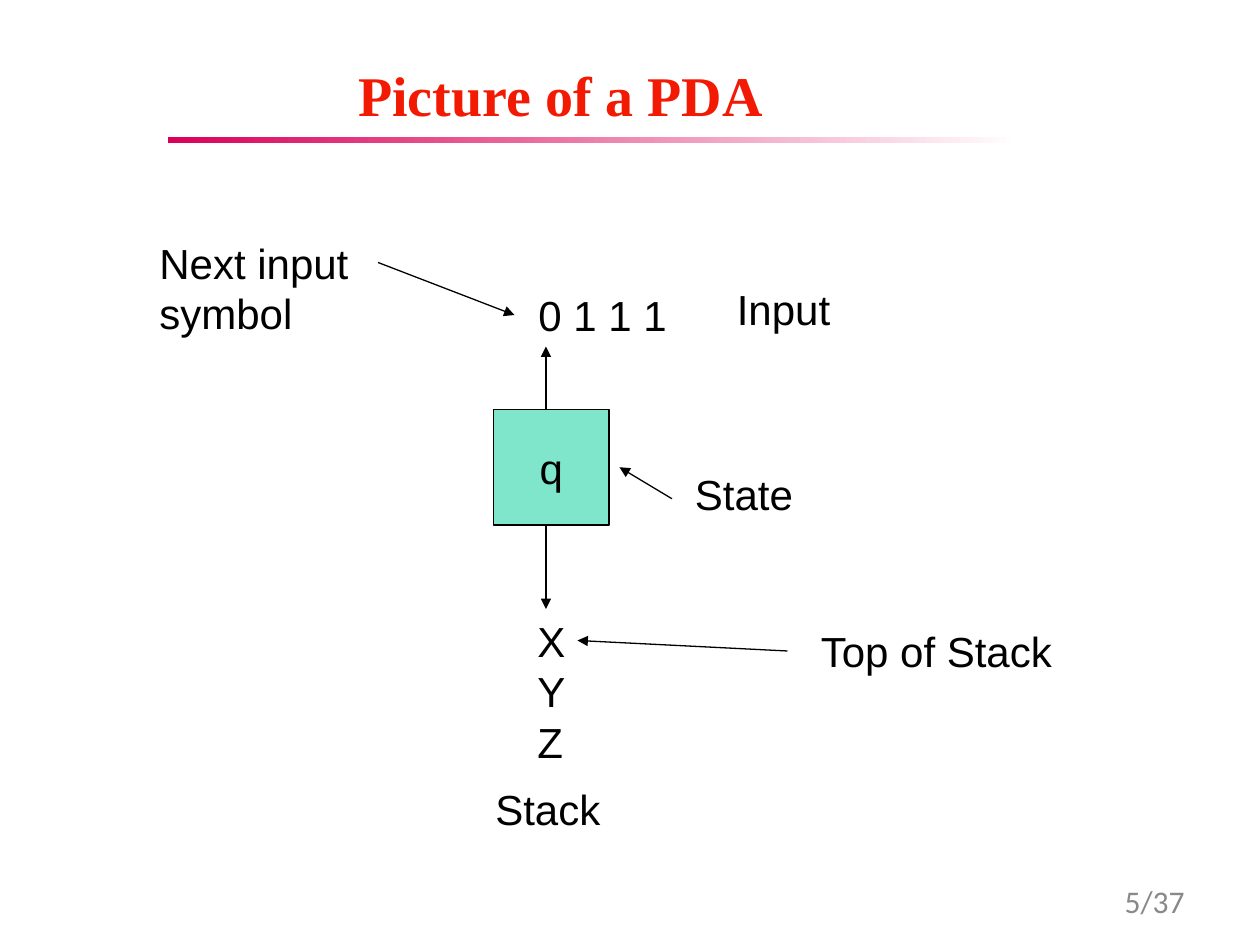
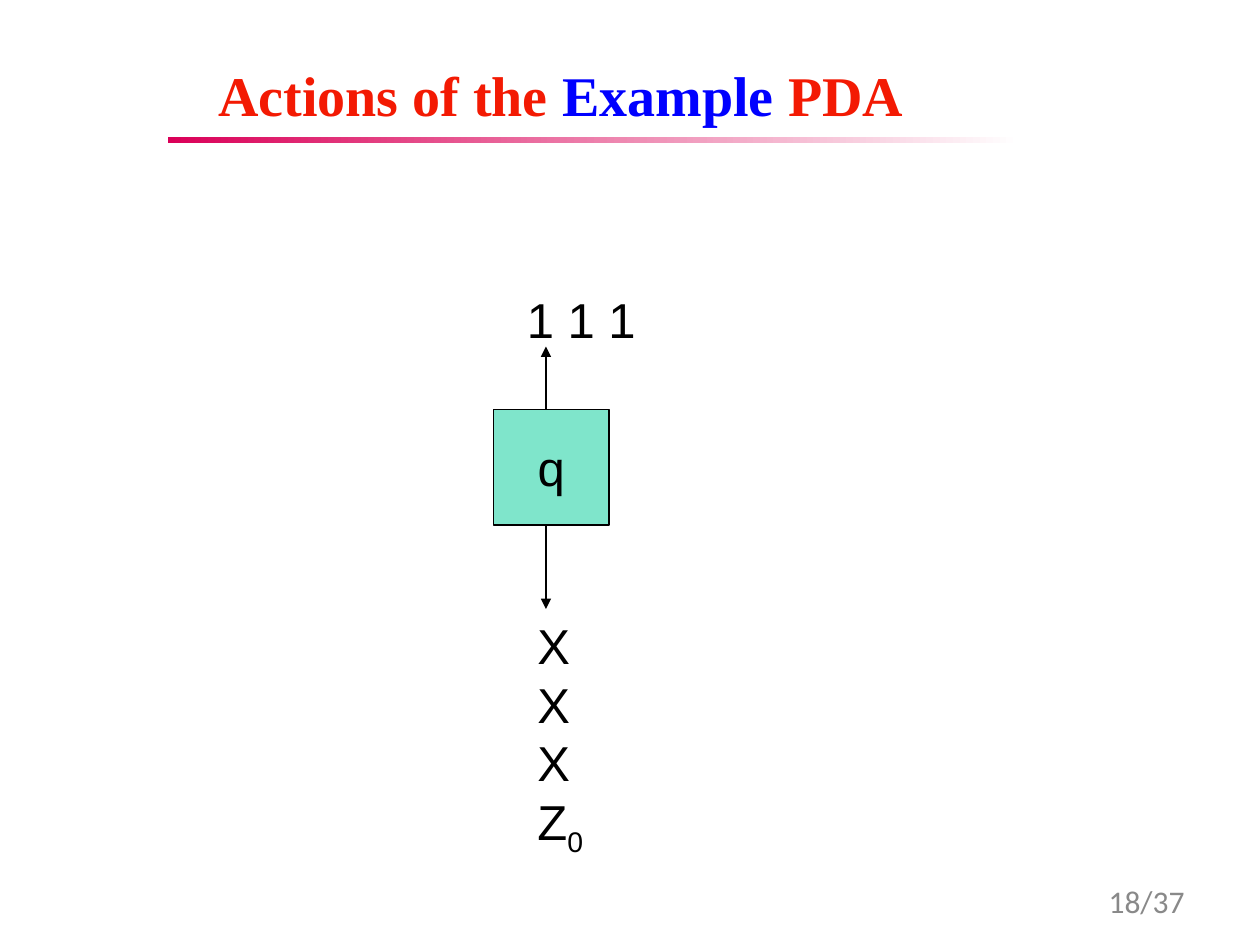
from collections import namedtuple

from lxml import etree
from pptx import Presentation
from pptx.dml.color import RGBColor
from pptx.enum.shapes import MSO_CONNECTOR, MSO_SHAPE
from pptx.enum.text import MSO_ANCHOR, PP_ALIGN
from pptx.oxml.ns import qn
from pptx.util import Inches, Pt

RECTANGLE = MSO_SHAPE.RECTANGLE
STRAIGHT = MSO_CONNECTOR.STRAIGHT
LEFT, CENTER, RIGHT = PP_ALIGN.LEFT, PP_ALIGN.CENTER, PP_ALIGN.RIGHT
TOP, MIDDLE = MSO_ANCHOR.TOP, MSO_ANCHOR.MIDDLE

WIDTH, HEIGHT = Inches(10), Inches(7.5)
COLUMNS, ROWS = 120, 90
LINE_WIDTH = Pt(0.75)
PAGE_TOTAL = 37

COLORS = {
    "title": "F31A03",
    "accent": "0000FF",
    "rule": "DA0058",
    "paper": "FFFFFF",
    "state": "00CC99",
    "ink": "000000",
    "footer": "898989",
}

# Lengths are in grid columns and rows
Box = namedtuple("Box", "col row cols rows")
Style = namedtuple("Style", "font size color bold", defaults=(False,))

TITLE = Style("Times New Roman", 32, "title", True)
FOOTER = Style("Calibri", 18, "footer")
DIAGRAM = Box(14, 22, 88, 60)


def x(cols):
    return round(WIDTH * cols / COLUMNS)


def y(rows):
    return round(HEIGHT * rows / ROWS)


def frame(box):
    return x(box.col), y(box.row), x(box.cols), y(box.rows)


def inside(area, col, row, cols=0, rows=0):
    return Box(area.col + col, area.row + row, cols, rows)


def rgb(name):
    return RGBColor.from_string(COLORS[name])


def write(text_frame, lines, style, align=LEFT, anchor=TOP, wrap=False):
    """Each line is a list of (text, changes); changes are color or baseline."""
    text_frame.word_wrap = wrap
    text_frame.vertical_anchor = anchor
    for number, line in enumerate(lines):
        para = text_frame.add_paragraph() if number else text_frame.paragraphs[0]
        para.alignment = align
        for text, changes in line:
            span = para.add_run()
            span.text = text
            span.font.name = style.font
            span.font.size = Pt(style.size)
            span.font.bold = style.bold
            span.font.color.rgb = rgb(changes.get("color", style.color))
            if "baseline" in changes:
                span.font._element.set("baseline", str(changes["baseline"]))


def plain(*texts):
    return [[(text, {})] for text in texts]


def add_text(page, box, lines, style, **layout):
    text_box = page.shapes.add_textbox(*frame(box))
    write(text_box.text_frame, lines, style, **layout)
    return text_box


def add_arrow(page, area, start, end):
    begin, finish = inside(area, *start), inside(area, *end)
    arrow = page.shapes.add_connector(
        STRAIGHT, x(begin.col), y(begin.row), x(finish.col), y(finish.row))
    arrow.line.color.rgb = rgb("ink")
    arrow.line.width = LINE_WIDTH
    etree.SubElement(arrow.line._get_or_add_ln(), qn("a:tailEnd"), type="triangle")
    etree.SubElement(arrow._element.spPr, qn("a:effectLst"))


def add_header(page, box, title):
    # Fading rule along the bottom of the header
    rule = page.shapes.add_shape(
        RECTANGLE, *frame(inside(box, 0, box.rows, box.cols, 0.6)))
    rule.shadow.inherit = False
    rule.line.fill.background()
    rule.fill.gradient()
    rule.fill.gradient_angle = 0
    for stop, (position, name) in zip(
            rule.fill.gradient_stops, ((0, "rule"), (1, "paper"))):
        stop.position = position
        stop.color.rgb = rgb(name)

    # Title, centred a little left of the rule's middle
    heading = add_text(page, inside(box, 0, 0, 74.8, 7), [title], TITLE, align=CENTER)
    text_frame = heading.text_frame
    text_frame.margin_left = text_frame.margin_right = Inches(0.05)
    text_frame.margin_top = text_frame.margin_bottom = Inches(0.02)


def add_footer(page, box, number):
    add_text(page, box, plain(f"{number}/{PAGE_TOTAL}"), FOOTER,
             align=RIGHT, anchor=MIDDLE, wrap=True)


def add_machine(page, area, style, tape, tape_box, stack, stack_box):
    # State
    state = page.shapes.add_shape(RECTANGLE, *frame(inside(area, 33, 17, 11, 11)))
    state.shadow.inherit = False
    state.fill.solid()
    state.fill.fore_color.rgb = rgb("state")
    shade = state._element.spPr.find(qn("a:solidFill"))[0]
    etree.SubElement(shade, qn("a:alpha"), val="50000")
    state.line.color.rgb = rgb("ink")
    state.line.width = LINE_WIDTH
    write(state.text_frame, plain("q"), style, align=CENTER, anchor=MIDDLE)

    # Input tape above, stack below
    add_text(page, inside(area, *tape_box), plain(tape), style)
    add_arrow(page, area, (38, 17), (38, 11))
    add_text(page, inside(area, *stack_box), stack, style)
    add_arrow(page, area, (38, 28), (38, 36))


def add_callouts(page, area, style):
    labels = [
        (("State",), (51, 22, 11.9, 6)),
        (("Stack",), (32, 52, 12.5, 6)),
        (("Top of Stack",), (63, 37, 25.2, 6)),
        (("Input",), (55, 4.4, 11.5, 6)),
        (("Next input", "symbol"), (0, 0, 20.6, 11)),
    ]
    for texts, place in labels:
        add_text(page, inside(area, *place), plain(*texts), style)

    pointers = [
        ((50, 25.5), (45, 22.5)),
        ((61, 40), (41, 39)),
        ((22, 3), (35, 8)),
    ]
    for start, end in pointers:
        add_arrow(page, area, start, end)


def add_page(deck, title, number):
    page = deck.slides.add_slide(deck.slide_layouts[6])
    add_header(page, Box(16, 5.5, 81.1, 7.5), title)
    add_footer(page, Box(86, 83.4, 28, 4.8), number)
    return page


def build_picture_page(deck):
    style = Style("Arial", 24, "ink")
    page = add_page(deck, [("Picture of a PDA", {})], 5)
    add_machine(page, DIAGRAM, style,
                "0 1 1 1", (36.1, 5, 14.7, 6),
                plain("X", "Y", "Z"), (36, 36, 5.2, 15.7))
    add_callouts(page, DIAGRAM, style)


def build_actions_page(deck):
    style = Style("Arial", 28, "ink")
    title = [("Actions of the ", {}), ("Example", {"color": "accent"}), (" PDA", {})]
    page = add_page(deck, title, 18)
    bottom = [("Z", {}), ("0", {"baseline": -25000})]
    add_machine(page, DIAGRAM, style,
                "1 1 1", (35, 5, 13, 6.8),
                plain("X", "X", "X") + [bottom], (36, 36, 7.1, 23.9))


def main():
    deck = Presentation()
    deck.slide_width, deck.slide_height = WIDTH, HEIGHT
    build_picture_page(deck)
    build_actions_page(deck)
    deck.save("out.pptx")


if __name__ == "__main__":
    main()
